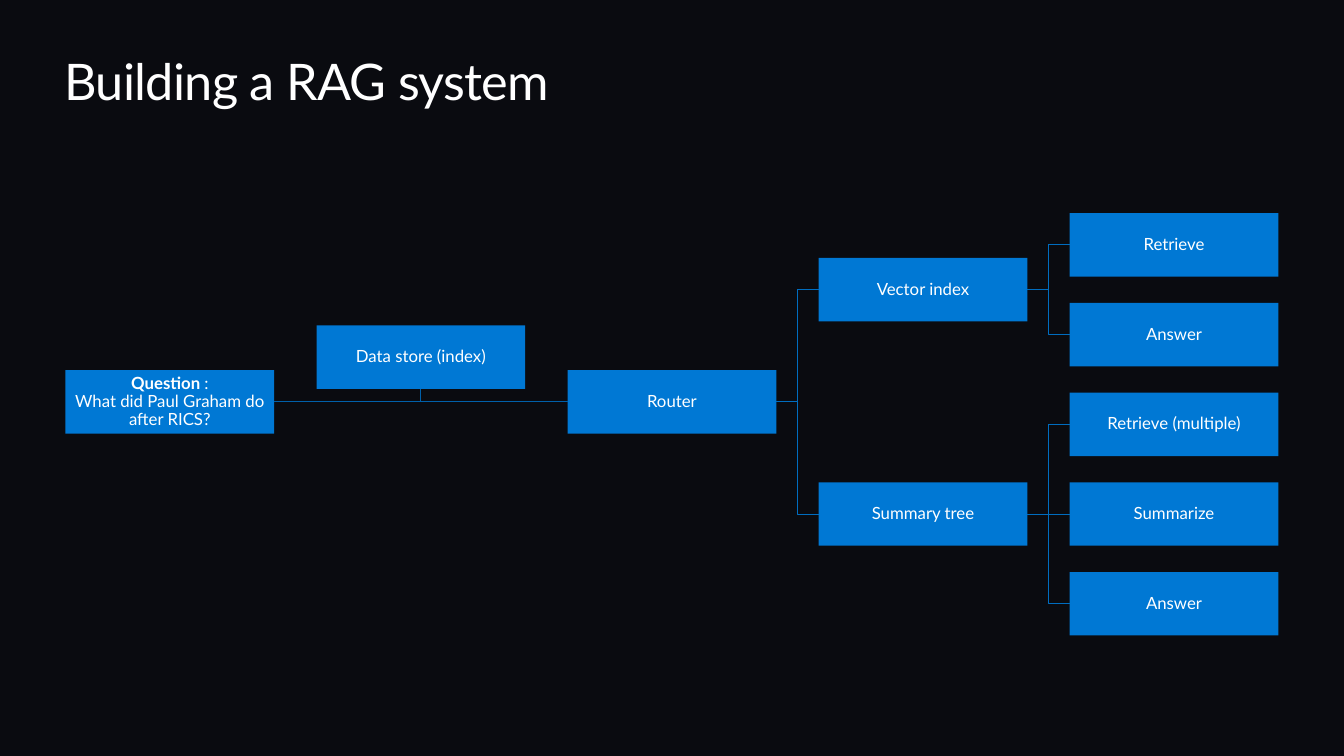
from dataclasses import dataclass

from lxml import etree
from pptx import Presentation
from pptx.dml.color import RGBColor as RGB
from pptx.enum.shapes import MSO_CONNECTOR as CONN, MSO_SHAPE as SHAPE
from pptx.enum.text import MSO_ANCHOR as ANCHOR, PP_ALIGN as ALIGN
from pptx.oxml.ns import qn
from pptx.util import Inches, Pt


@dataclass(frozen=True)
class Theme:
    font: str = "Lato"
    background: RGB = RGB.from_string("0A0B10")
    text: RGB = RGB.from_string("FFFFFF")
    box: RGB = RGB.from_string("0078D4")
    trunk: RGB = RGB.from_string("0060AA")
    branch: RGB = RGB.from_string("006DC0")
    title_size: Pt = Pt(36)
    box_size: Pt = Pt(12)
    line_width: Pt = Pt(0.75)


LEFT, COL_PITCH = 0.65, 2.49
FIRST_ROW, ROW_PITCH = 2.43, 0.89
BOX_W, BOX_H = 2.07, 0.63
RIGHT_SITE, LEFT_SITE = 3, 1

NODES = {
    "question": (0, 1.75, [("Question ", True), (":", False), None,
                           ("What did Paul Graham do after RICS?", False)]),
    "store": (1, 1.25, [("Data store (index)", False)]),
    "router": (2, 1.75, [("Router", False)]),
    "vector": (3, 0.5, [("Vector index", False)]),
    "summary": (3, 3, [("Summary tree", False)]),
    "vector retrieve": (4, 0, [("Retrieve", False)]),
    "vector answer": (4, 1, [("Answer", False)]),
    "summary retrieve": (4, 2, [("Retrieve (multiple)", False)]),
    "summarize": (4, 3, [("Summarize", False)]),
    "summary answer": (4, 4, [("Answer", False)]),
}
BRANCHES = {
    "router": ["vector", "summary"],
    "vector": ["vector retrieve", "vector answer"],
    "summary": ["summary retrieve", "summarize", "summary answer"],
}


class Deck:
    """Draws styled elements on the current slide."""

    def __init__(self, theme):
        self.theme = theme
        self.prs = Presentation()
        self.prs.slide_width, self.prs.slide_height = Inches(13.33), Inches(7.5)
        self.s = None

    def add_slide(self):
        self.s = self.prs.slides.add_slide(self.prs.slide_layouts[5])
        fill = self.s.background.fill
        fill.solid()
        fill.fore_color.rgb = self.theme.background

    def format(self, target, values):
        for name, value in values.items():
            setattr(target, name, value)

    def frame(self, tf, margin, anchor):
        self.format(tf, {"word_wrap": True, "vertical_anchor": anchor,
                         "margin_left": margin, "margin_right": margin,
                         "margin_top": margin, "margin_bottom": margin})

    def run(self, p, text, size, bold=False):
        r = p.add_run()
        r.text = text
        self.format(r.font, {"name": self.theme.font, "size": size, "bold": bold})
        r.font.color.rgb = self.theme.text
        return r

    def title(self, text):
        sp = self.s.shapes.title
        self.format(sp, {"left": Inches(0.64), "top": Inches(0.5),
                         "width": Inches(12.05), "height": Inches(0.61)})
        self.frame(sp.text_frame, 0, ANCHOR.TOP)
        p = sp.text_frame.paragraphs[0]
        p.alignment = ALIGN.LEFT
        r = self.run(p, text, self.theme.title_size)
        r.font._element.set("spc", "-50")

    def box(self, col, row, parts):
        sp = self.s.shapes.add_shape(
            SHAPE.RECTANGLE, Inches(LEFT + col * COL_PITCH),
            Inches(FIRST_ROW + row * ROW_PITCH - BOX_H / 2),
            Inches(BOX_W), Inches(BOX_H))
        sp.shadow.inherit = False
        sp.fill.solid()
        sp.fill.fore_color.rgb = self.theme.box
        sp.line.fill.background()
        self.frame(sp.text_frame, Inches(0.01), ANCHOR.MIDDLE)
        p = sp.text_frame.paragraphs[0]
        self.format(p, {"alignment": ALIGN.CENTER, "line_spacing": 0.9})
        for part in parts:
            if part is None:
                p.add_line_break()
            else:
                text, bold = part
                self.run(p, text, self.theme.box_size, bold)
        return sp

    def line(self, kind, start, end, color):
        cx = self.s.shapes.add_connector(kind, *start, *end)
        cx.line.color.rgb = color
        cx.line.width = self.theme.line_width
        etree.SubElement(cx._element.spPr, qn("a:effectLst"))
        return cx

    def link(self, source, target, color):
        start = source.left + source.width, source.top + source.height // 2
        end = target.left, target.top + target.height // 2
        kind = CONN.STRAIGHT if source.top == target.top else CONN.ELBOW
        cx = self.line(kind, start, end, color)
        cx.begin_connect(source, RIGHT_SITE)
        cx.end_connect(target, LEFT_SITE)

    def drop(self, source, target, color):
        x = source.left + source.width // 2
        self.line(CONN.STRAIGHT, (x, source.top + source.height),
                  (x, target.top + target.height // 2), color)


def main():
    theme = Theme()
    deck = Deck(theme)
    deck.add_slide()
    deck.title("Building a RAG system")
    boxes = {name: deck.box(*node) for name, node in NODES.items()}
    deck.link(boxes["question"], boxes["router"], theme.trunk)
    deck.drop(boxes["store"], boxes["router"], theme.trunk)
    for source, targets in BRANCHES.items():
        for target in targets:
            deck.link(boxes[source], boxes[target], theme.branch)
    deck.prs.save("out.pptx")


if __name__ == "__main__":
    main()
